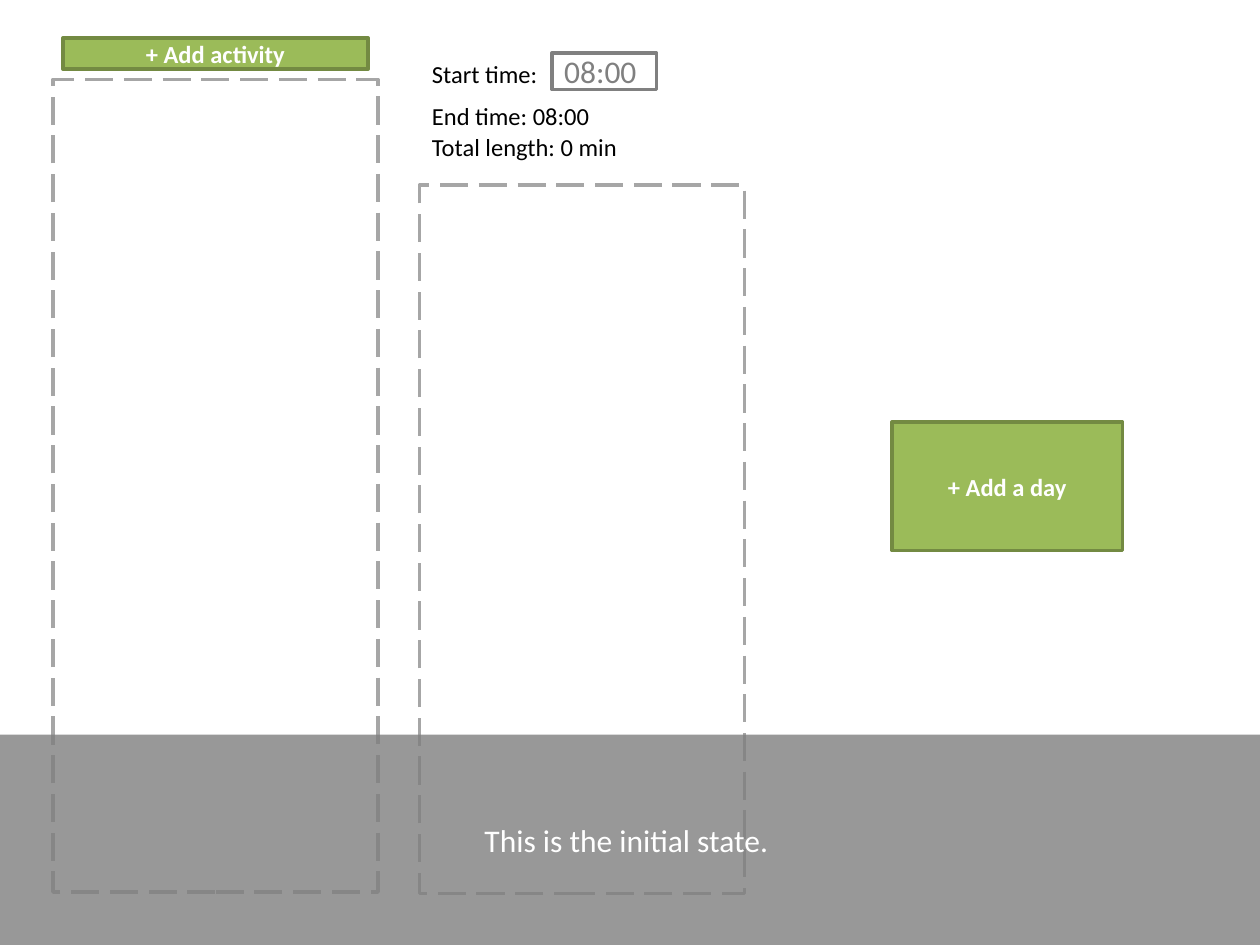
from dataclasses import dataclass

from pptx import Presentation
from pptx import util as u
from pptx.dml.color import RGBColor
from pptx.enum import dml, shapes, text
from pptx.oxml.ns import qn
from lxml import etree


@dataclass(frozen=True)
class Theme:
    """Colours, type sizes and line width of the slide."""
    font: str = "Calibri"
    green: str = "9BBB59"
    edge: str = "738A42"
    dash: str = "A6A6A6"
    grey: str = "808080"
    band: str = "7F7F7F"
    white: str = "FFFFFF"
    black: str = "000000"
    small: int = 14
    large: int = 18
    line: int = 2
    alpha: int = 80


THEME = Theme()
LEFT = text.PP_ALIGN.LEFT
MID = text.PP_ALIGN.CENTER


def write(shape, words, size, color, align=LEFT, bold=False):
    """Set one styled line of text in a shape."""
    para = shape.text_frame.paragraphs[0]
    para.text = words
    para.alignment = align
    for run in para.runs:
        font = run.font
        font.name, font.size, font.bold = THEME.font, u.Pt(size), bold
        font.color.rgb = RGBColor.from_string(color)


def draw_box(slide, box, fill=None, line=None):
    """Draw a flat rectangle with an optional fill and outline."""
    shape = slide.shapes.add_shape(shapes.MSO_SHAPE.RECTANGLE, *map(u.Inches, box))
    shape.shadow.inherit = False
    if fill:
        shape.fill.solid()
        shape.fill.fore_color.rgb = RGBColor.from_string(fill)
    else:
        shape.fill.background()
    if line:
        shape.line.color.rgb = RGBColor.from_string(line)
        shape.line.width = u.Pt(THEME.line)
    else:
        shape.line.fill.background()
    shape.text_frame.vertical_anchor = text.MSO_ANCHOR.MIDDLE
    return shape


def add_button(slide, box, words):
    """Place a green button with a bold label."""
    shape = draw_box(slide, box, THEME.green, THEME.edge)
    write(shape, words, THEME.small, THEME.white, MID, True)


def add_zone(slide, box):
    """Place an empty dashed drop zone."""
    shape = draw_box(slide, box, line=THEME.dash)
    shape.line.dash_style = dml.MSO_LINE.LONG_DASH


def add_label(slide, box, words, wrap=False):
    """Place a small black label."""
    label = slide.shapes.add_textbox(*map(u.Inches, box))
    label.text_frame.word_wrap = wrap
    label.text_frame.auto_size = text.MSO_AUTO_SIZE.SHAPE_TO_FIT_TEXT
    write(label, words, THEME.small, THEME.black)


def add_pool(slide, box):
    """Place the activity button above its drop zone."""
    x, y, w, h = box
    add_button(slide, (x + 0.08, y, w - 0.16, 0.25), "+ Add activity")
    add_zone(slide, (x, y + 0.33, w, h - 0.33))


def add_day(slide, box):
    """Place the time fields of a day above its drop zone."""
    x, y, w, h = box
    add_zone(slide, (x, y + 1.05, w, h - 1.05))
    field = draw_box(slide, (x + 1.05, y, 0.83, 0.29), THEME.white, THEME.grey)
    write(field, "08:00", THEME.large, THEME.grey)
    add_label(slide, (x, y, 1.05, 0.34), "Start time:")
    add_label(slide, (x, y + 0.33, 1.46, 0.34), "End time: 08:00")
    add_label(slide, (x, y + 0.58, 1.67, 0.34), "Total length: 0 min", True)


def add_note(slide, box, words):
    """Place the translucent caption band."""
    shape = draw_box(slide, box, THEME.band)
    color = shape.fill._xPr.find(".//" + qn("a:srgbClr"))
    etree.SubElement(color, qn("a:alpha")).set("val", str(THEME.alpha * 1000))
    write(shape, words, THEME.large, THEME.white, MID)


def main():
    """Build and save the slide."""
    deck = Presentation()
    deck.slide_width, deck.slide_height = u.Inches(10), u.Inches(7.5)
    slide = deck.slides.add_slide(deck.slide_layouts[6])
    add_pool(slide, (0.42, 0.3, 2.58, 6.78))
    add_day(slide, (3.33, 0.42, 2.58, 6.67))
    add_button(slide, (7.08, 3.35, 1.83, 1.02), "+ Add a day")
    add_note(slide, (0, 5.83, 10, 1.67), "This is the initial state. ")
    deck.save("out.pptx")


if __name__ == "__main__":
    main()
